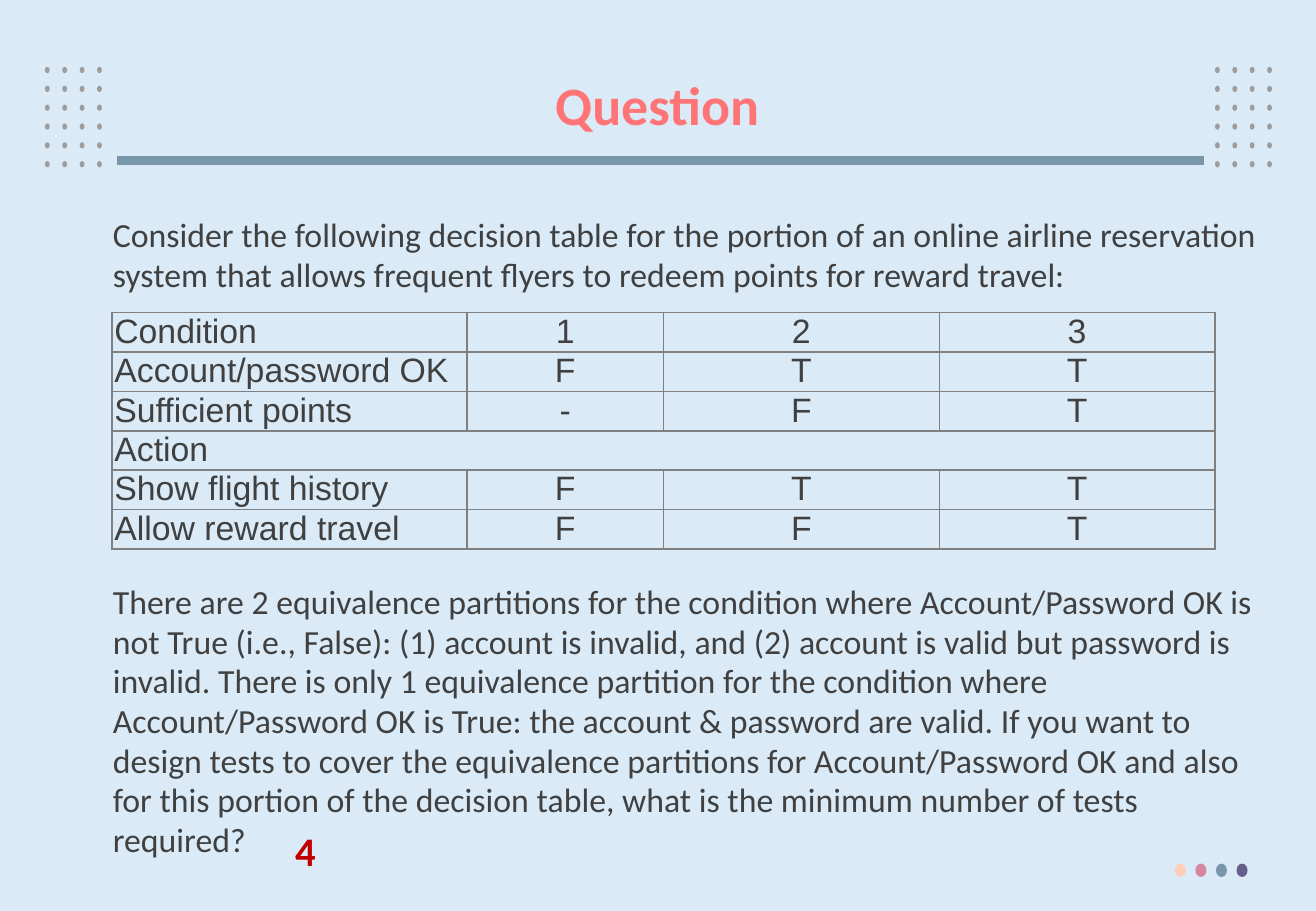
import dataclasses

import lxml.etree
import pptx
import pptx.dml.color
import pptx.enum.shapes
import pptx.enum.text
import pptx.oxml.ns
import pptx.util

Cm = pptx.util.Cm
Pt = pptx.util.Pt
ALIGN = pptx.enum.text.PP_ALIGN
ANCHOR = pptx.enum.text.MSO_ANCHOR


@dataclasses.dataclass(frozen=True)
class Theme:
    """Hold the colours, fonts and type sizes of the slide."""
    background: str = "DAEAF6"
    dot: str = "9D9D9D"
    rule: str = "7897AB"
    title: str = "FF7477"
    text: str = "404040"
    answer: str = "C00000"
    border: str = "808080"
    accents: tuple = ("FDCEB9", "D885A3", "7897AB", "655D8A")
    body_font: str = "Calibri"
    table_font: str = "Arial"
    title_size: int = 32
    body_size: int = 20
    answer_size: int = 24


THEME = Theme()

INTRODUCTION = (
    "Consider the following decision table for the portion of an online airline "
    "reservation system that allows frequent flyers to redeem points for reward travel:"
)
QUESTION = (
    "There are 2 equivalence partitions for the condition where Account/Password OK "
    "is not True (i.e., False): (1) account is invalid, and (2) account is valid but "
    "password is invalid. There is only 1 equivalence partition for the condition where "
    "Account/Password OK is True: the account & password are valid. If you want to design "
    "tests to cover the equivalence partitions for Account/Password OK and also for this "
    "portion of the decision table, what is the minimum number of tests required?"
)
DECISIONS = (
    ("Condition", "1", "2", "3"),
    ("Account/password OK", "F", "T", "T"),
    ("Sufficient points", "-", "F", "T"),
    ("Action",),
    ("Show flight history", "F", "T", "T"),
    ("Allow reward travel", "F", "F", "T"),
)
COLUMN_SHARES = (0.322, 0.178, 0.25, 0.25)


def rgb(colour):
    """Turn a hex string into a colour."""
    return pptx.dml.color.RGBColor.from_string(colour)


def apply_format(target, values):
    """Set each named attribute on the target."""
    for name, value in values.items():
        setattr(target, name, value)


def write_text(frame, text, size, colour, font=THEME.body_font, bold=False,
               alignment=ALIGN.LEFT, line_spacing=1.0):
    """Write one formatted paragraph into a text frame."""
    paragraph = frame.paragraphs[0]
    apply_format(paragraph, {"alignment": alignment, "line_spacing": line_spacing})
    run = paragraph.add_run()
    run.text = text
    apply_format(run.font, {"name": font, "size": Pt(size), "bold": bold})
    run.font.color.rgb = rgb(colour)


def add_text(slide, box, text, size, colour, anchor=ANCHOR.TOP, **style):
    """Place a wrapped text box in the given box."""
    frame = slide.shapes.add_textbox(*map(Cm, box)).text_frame
    apply_format(frame, {"word_wrap": True, "vertical_anchor": anchor})
    write_text(frame, text, size, colour, **style)


def add_dot(slide, box, colour):
    """Place a plain round dot."""
    dot = slide.shapes.add_shape(pptx.enum.shapes.MSO_SHAPE.OVAL, *map(Cm, box))
    dot.shadow.inherit = False
    dot.fill.solid()
    dot.fill.fore_color.rgb = rgb(colour)
    dot.line.fill.background()


def add_dot_grid(slide, box, rows=6, columns=4):
    """Spread small dots evenly over the box."""
    left, top, width, height = box
    dot_width, dot_height = 0.1, 0.13
    step_x = (width - dot_width) / (columns - 1)
    step_y = (height - dot_height) / (rows - 1)
    for row in range(rows):
        for column in range(columns):
            add_dot(slide, (left + column * step_x, top + row * step_y,
                            dot_width, dot_height), THEME.dot)


def add_header(slide, box):
    """Place the title, the rule below it and the dot grids beside it."""
    left, top, width, height = box
    grid_width = 1.19
    for grid_left in (left, left + width - grid_width):
        add_dot_grid(slide, (grid_left, top + 0.38, grid_width, 2.1))
    rule_y = Cm(top + height - 0.15)
    rule = slide.shapes.add_connector(
        pptx.enum.shapes.MSO_CONNECTOR.STRAIGHT,
        Cm(left + 1.5), rule_y, Cm(left + width - 1.43), rule_y)
    rule.line.color.rgb = rgb(THEME.rule)
    rule.line.width = Pt(5.25)
    lxml.etree.SubElement(rule._element.spPr, pptx.oxml.ns.qn("a:effectLst"))
    add_text(slide, (left + 0.94, top, width - 1.93, height), "Question",
             THEME.title_size, THEME.title, anchor=ANCHOR.MIDDLE, bold=True,
             alignment=ALIGN.CENTER, line_spacing=0.9)


def add_borders(cell):
    """Draw a thin line on every side of a cell."""
    qn = pptx.oxml.ns.qn
    properties = cell._tc.get_or_add_tcPr()
    for index, side in enumerate("LRTB"):
        line = lxml.etree.Element(qn(f"a:ln{side}"), w=str(Pt(1)))
        fill = lxml.etree.SubElement(line, qn("a:solidFill"))
        lxml.etree.SubElement(fill, qn("a:srgbClr"), val=THEME.border)
        properties.insert(index, line)


def add_decision_table(slide, box):
    """Place the decision table, with its action row merged across."""
    left, top, width, height = box
    table = slide.shapes.add_table(
        len(DECISIONS), len(COLUMN_SHARES), *map(Cm, box)).table
    apply_format(table, {"first_row": False, "horz_banding": False})
    for column, share in zip(table.columns, COLUMN_SHARES):
        column.width = Cm(width * share)
    for row_index, texts in enumerate(DECISIONS):
        table.rows[row_index].height = Cm(height / len(DECISIONS))
        for column_index in range(len(COLUMN_SHARES)):
            cell = table.cell(row_index, column_index)
            apply_format(cell, {
                "margin_left": Cm(0.05), "margin_right": Cm(0.05),
                "margin_top": 0, "margin_bottom": 0,
                "vertical_anchor": ANCHOR.MIDDLE})
            cell.fill.background()
            add_borders(cell)
        for column_index, text in enumerate(texts):
            write_text(table.cell(row_index, column_index).text_frame, text,
                       THEME.body_size, THEME.text, font=THEME.table_font,
                       alignment=ALIGN.CENTER if column_index else ALIGN.LEFT,
                       line_spacing=0.97)
        if len(texts) == 1:
            table.cell(row_index, 0).merge(
                table.cell(row_index, len(COLUMN_SHARES) - 1))


def add_body(slide, box):
    """Place the introduction, the table, the question and its answer."""
    left, top, width, height = box
    for offset, part_height, text in ((0, 2.1, INTRODUCTION),
                                      (7.67, height - 7.67, QUESTION)):
        add_text(slide, (left, top + offset, width, part_height), text,
                 THEME.body_size, THEME.text, line_spacing=0.98)
    add_decision_table(slide, (left + 0.23, top + 2.15, 23.06, 4.72))
    add_text(slide, (left + 3.81, top + 12.75, 2.24, 1.27), "4",
             THEME.answer_size, THEME.answer, bold=True)


def add_footer_dots(slide, box):
    """Place the row of accent dots."""
    left, top, width, height = box
    dot_width = 0.23
    step = (width - dot_width) / (len(THEME.accents) - 1)
    for index, colour in enumerate(THEME.accents):
        add_dot(slide, (left + index * step, top, dot_width, height), colour)


def main():
    """Build and save the slide."""
    presentation = pptx.Presentation()
    apply_format(presentation, {"slide_width": Cm(27.51), "slide_height": Cm(19.05)})
    slide = presentation.slides.add_slide(presentation.slide_layouts[6])
    slide.background.fill.solid()
    slide.background.fill.fore_color.rgb = rgb(THEME.background)
    add_header(slide, (0.94, 1.02, 25.65, 2.49))
    add_footer_dots(slide, (24.56, 18.06, 1.52, 0.28))
    add_body(slide, (2.11, 4.39, 24.56, 14.66))
    presentation.save("out.pptx")


if __name__ == "__main__":
    main()
